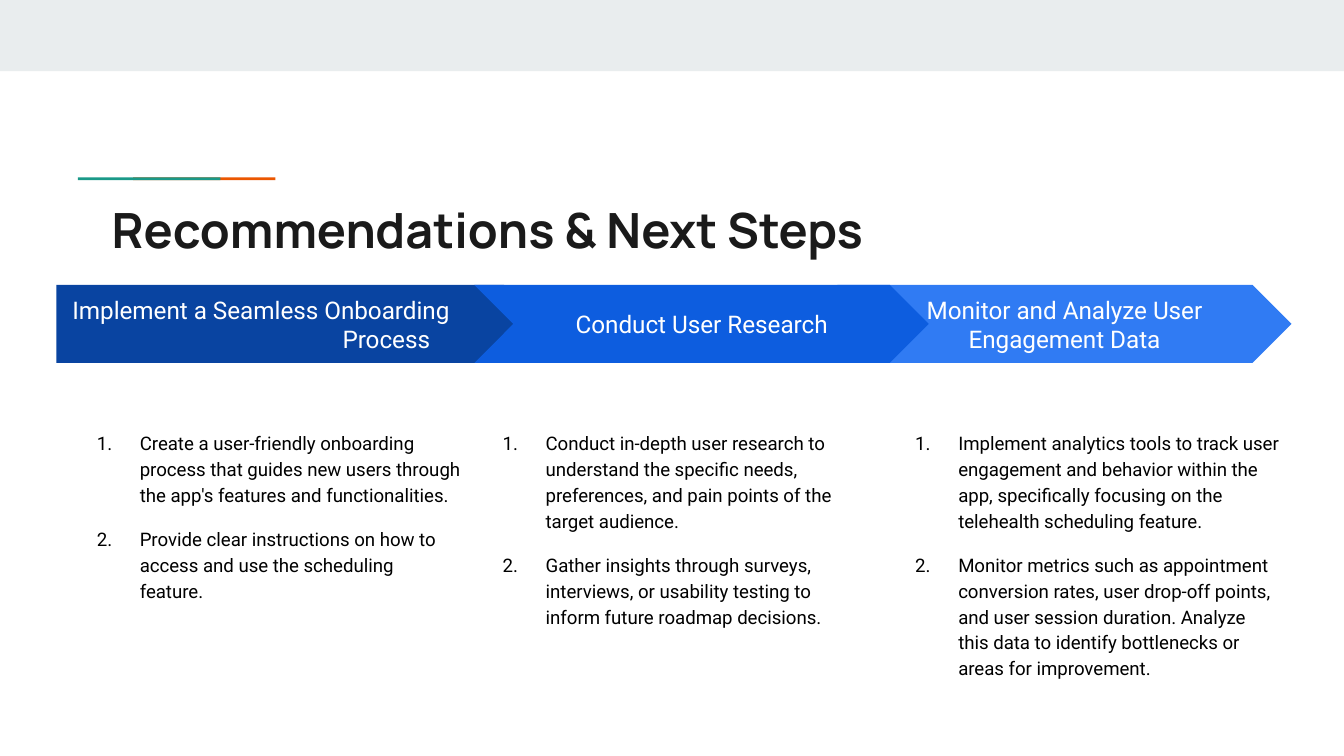
from dataclasses import dataclass

from lxml.etree import SubElement
from pptx import Presentation
from pptx.dml.color import RGBColor
from pptx.enum.shapes import MSO_SHAPE
from pptx.enum.text import MSO_ANCHOR, MSO_AUTO_SIZE, PP_ALIGN
from pptx.oxml.ns import qn
from pptx.util import Inches, Pt


@dataclass(frozen=True)
class Theme:
    heading_font: str = "Manrope"
    body_font: str = "Roboto"
    title_size: int = 26
    step_size: int = 13
    list_size: int = 10
    band: str = "E9EDEE"
    orange: str = "EB5600"
    green: str = "1A9988"
    dark_blue: str = "0944A1"
    blue: str = "0D5DDF"
    light_blue: str = "307BF3"
    ink: str = "1A1A1A"
    black: str = "000000"
    white: str = "FFFFFF"


THEME = Theme()

# Back to front: the middle arrow covers the ends of its neighbours.
STEPS = [
    ("Monitor and Analyze User Engagement Data", MSO_SHAPE.CHEVRON, 6.23, 3.38, THEME.light_blue),
    ("Implement a Seamless Onboarding Process", MSO_SHAPE.PENTAGON, 0.42, 3.62, THEME.dark_blue),
    ("Conduct User Research", MSO_SHAPE.CHEVRON, 3.53, 3.38, THEME.blue),
]

ACTIONS = [
    (0.44, 1.67, [
        "Create a user-friendly onboarding process that guides new users through the app's "
        "features and functionalities.",
        "Provide clear instructions on how to access and use the scheduling feature.",
    ]),
    (3.46, 1.67, [
        "Conduct in-depth user research to understand the specific needs, preferences, and "
        "pain points of the target audience.",
        "Gather insights through surveys, interviews, or usability testing to inform future "
        "roadmap decisions.",
    ]),
    (6.53, 2.06, [
        "Implement analytics tools to track user engagement and behavior within the app, "
        "specifically focusing on the telehealth scheduling feature.",
        "Monitor metrics such as appointment conversion rates, user drop-off points, and user "
        "session duration. Analyze this data to identify bottlenecks or areas for improvement.",
    ]),
]


def place(box, left, top, width, height):
    box.left, box.top = Inches(left), Inches(top)
    box.width, box.height = Inches(width), Inches(height)


def prepare_frame(box, anchor):
    frame = box.text_frame
    frame.word_wrap = True
    frame.vertical_anchor = anchor
    frame.margin_left = frame.margin_right = Inches(0.1)
    frame.margin_top = frame.margin_bottom = Inches(0.1)
    return frame


def add_span(para, text, font, size, color, bold=False):
    span = para.add_run()
    span.text = text
    span.font.name = font
    span.font.size = Pt(size)
    span.font.bold = bold
    span.font.color.rgb = RGBColor.from_string(color)


def set_indent(para, left, first_line):
    properties = para._p.get_or_add_pPr()
    properties.set("marL", str(Inches(left)))
    properties.set("indent", str(Inches(first_line)))
    return properties


def number_paragraph(para):
    properties = set_indent(para, 0.5, -0.32)
    color = SubElement(properties, qn("a:buClr"))
    SubElement(color, qn("a:srgbClr")).set("val", THEME.black)
    SubElement(properties, qn("a:buFont")).set("typeface", THEME.body_font)
    SubElement(properties, qn("a:buAutoNum")).set("type", "arabicPeriod")


def add_filled_shape(page, kind, left, top, width, height, color):
    shape = page.shapes.add_shape(kind, Inches(left), Inches(top), Inches(width), Inches(height))
    shape.shadow.inherit = False
    shape.fill.solid()
    shape.fill.fore_color.rgb = RGBColor.from_string(color)
    shape.line.fill.background()
    return shape


def add_step(page, text, kind, left, width, color):
    arrow = add_filled_shape(page, kind, left, 2.12, width, 0.58, color)
    arrow.adjustments[0] = 0.5
    para = prepare_frame(arrow, MSO_ANCHOR.MIDDLE).paragraphs[0]
    para.alignment = PP_ALIGN.CENTER
    add_span(para, text, THEME.body_font, THEME.step_size, THEME.white)
    if kind == MSO_SHAPE.PENTAGON:
        # A hanging indent sets the wrapped word towards the arrow's tip.
        para.alignment = PP_ALIGN.LEFT
        set_indent(para, 2.03, -2.01)


def fill_title(title, text):
    place(title, 0.73, 1.39, 5.81, 0.7)
    para = prepare_frame(title, MSO_ANCHOR.TOP).paragraphs[0]
    title.text_frame.auto_size = MSO_AUTO_SIZE.NONE
    para.alignment = PP_ALIGN.LEFT
    add_span(para, text, THEME.heading_font, THEME.title_size, THEME.ink, bold=True)


def fill_list(body, left, height, items):
    place(body, left, 3.09, 3.09, height)
    frame = prepare_frame(body, MSO_ANCHOR.TOP)
    frame.auto_size = MSO_AUTO_SIZE.SHAPE_TO_FIT_TEXT
    for index, item in enumerate(items):
        para = frame.add_paragraph() if index else frame.paragraphs[0]
        para.alignment = PP_ALIGN.LEFT
        para.line_spacing = 1.15
        para.space_before = Pt(10)
        para.space_after = Pt(0)
        number_paragraph(para)
        add_span(para, item, THEME.body_font, THEME.list_size, THEME.black)


def main():
    deck = Presentation()
    deck.slide_width = Inches(10)
    deck.slide_height = deck.slide_width * 9 // 16
    page = deck.slides.add_slide(deck.slide_layouts.get_by_name("Comparison"))
    title, *bodies, spare = list(page.placeholders)[:5]
    spare.element.getparent().remove(spare.element)

    add_filled_shape(page, MSO_SHAPE.RECTANGLE, 0, 0, 10, 0.53, THEME.band)
    for left, color in ((0.99, THEME.orange), (0.58, THEME.green)):
        add_filled_shape(page, MSO_SHAPE.RECTANGLE, left, 1.32, 1.06, 0.02, color)
    for step in STEPS:
        add_step(page, *step)
    fill_title(title, "Recommendations & Next Steps")
    for body, (left, height, items) in zip(bodies, ACTIONS):
        fill_list(body, left, height, items)

    deck.save("out.pptx")


if __name__ == "__main__":
    main()
